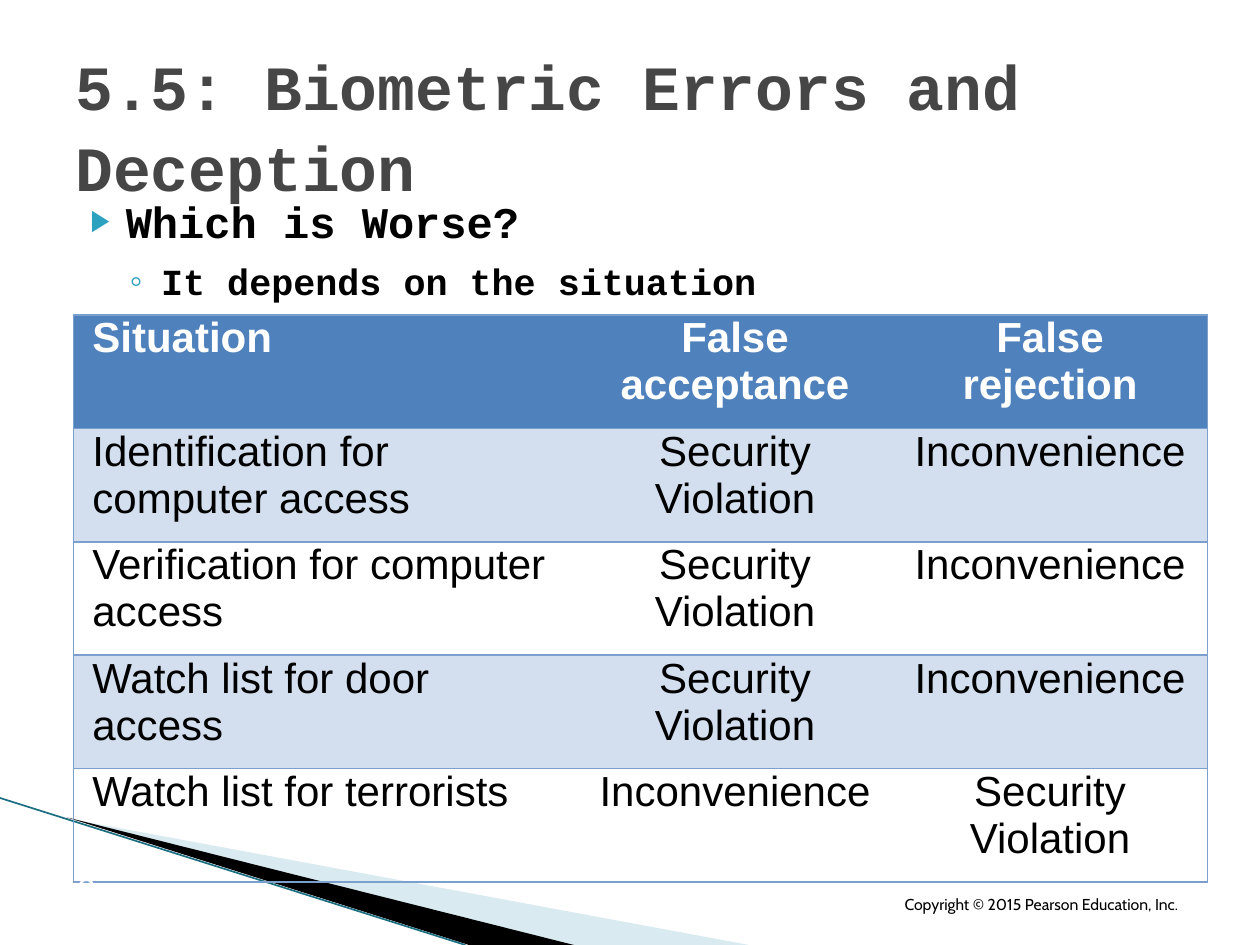
from lxml import etree
from pptx import Presentation, util as u
from pptx.dml.color import RGBColor
from pptx.enum import shapes, text
from pptx.oxml.ns import qn

PT = u.Pt
MONO, SANS = "Courier New", "Arial"
BLACK, WHITE, TEAL = "000000", "FFFFFF", "2DA2BF"
HEAD, BAND, EDGE = "4F81BD", "D3DFEE", "7BA0CD"


def color(code):
    return RGBColor.from_string(code)


def node(parent, tag, **attrs):
    return etree.SubElement(parent, qn(tag), attrs)


def write(para, words, size=24, face=MONO, ink=BLACK, bold=False,
          align=None, lead=None, before=None):
    run = para.add_run()
    run.text = words
    font = run.font
    font.size, font.name, font.bold = PT(size), face, bold
    font.color.rgb = color(ink)
    para.alignment = align
    if lead:
        para.line_spacing = lead
    if before:
        para.space_before = PT(before)


def bullet(para, mark, left, hang, scale=100):
    props = para._p.get_or_add_pPr()
    props.set("marL", str(PT(left)))
    props.set("indent", str(PT(-hang)))
    node(node(props, "a:buClr"), "a:srgbClr", val=TEAL)
    node(props, "a:buSzPct", val=str(scale * 1000))
    node(props, "a:buFont", typeface=SANS)
    node(props, "a:buChar", char=mark)


def paint(shape, code, alpha=100):
    shape.shadow.inherit = False
    shape.line.fill.background()
    shape.fill.solid()
    shape.fill.fore_color.rgb = color(code)
    if alpha < 100:
        tint = shape.fill._xPr.find(".//" + qn("a:srgbClr"))
        node(tint, "a:alpha", val=str(alpha * 1000))


class Page:
    def __init__(self, deck):
        self.slide = deck.slides.add_slide(deck.slide_layouts[6])
        self.items = self.slide.shapes

    def wedge(self, points, code, alpha=100):
        path = self.items.build_freeform(*points[0], scale=PT(1))
        path.add_line_segments(points[1:], close=True)
        paint(path.convert_to_shape(), code, alpha)

    def line(self, start, end, code, width):
        link = self.items.add_connector(
            shapes.MSO_CONNECTOR.STRAIGHT, *map(PT, start + end))
        link.line.color.rgb = color(code)
        link.line.width = PT(width)
        node(link._element.spPr, "a:effectLst")

    def panel(self, area, words, **style):
        box = self.items.add_shape(
            shapes.MSO_SHAPE.RECTANGLE, *map(PT, area))
        paint(box, WHITE, 90)
        frame = box.text_frame
        frame.vertical_anchor = text.MSO_ANCHOR.TOP
        write(frame.paragraphs[0], words, align=text.PP_ALIGN.LEFT, **style)

    def box(self, area, top=3.6, bottom=3.6, anchor=text.MSO_ANCHOR.TOP):
        frame = self.items.add_textbox(*map(PT, area)).text_frame
        frame.word_wrap = True
        frame.margin_top, frame.margin_bottom = PT(top), PT(bottom)
        frame.vertical_anchor = anchor
        return frame

    def table(self, area, widths, rows):
        grid = self.items.add_table(
            len(rows), len(widths), *map(PT, area)).table
        grid.first_row = grid.horz_banding = False
        style = grid._tbl.tblPr.find(qn("a:tableStyleId"))
        style.text = "{2D5ABB26-0587-4C30-8999-92F81FD0307C}"
        for col, width in zip(grid.columns, widths):
            col.width = PT(width)
        for r, row in enumerate(rows):
            for c, words in enumerate(row):
                sides = "L" * (c == 0) + "R" * (c == len(row) - 1) + "TB"
                self.cell(grid.cell(r, c), words, sides, r, c)

    def cell(self, cell, words, sides, r, c):
        cell.margin_left = cell.margin_right = PT(10.8)
        cell.margin_top = cell.margin_bottom = 0
        props = cell._tc.get_or_add_tcPr()
        for side in sides:
            edge = node(props, "a:ln" + side, w=str(PT(1)))
            node(node(edge, "a:solidFill"), "a:srgbClr", val=EDGE)
        if r and r % 2 == 0:
            cell.fill.background()
        else:
            cell.fill.solid()
            cell.fill.fore_color.rgb = color(BAND if r else HEAD)
        write(cell.text_frame.paragraphs[0], words, face=SANS,
              ink=BLACK if r else WHITE, bold=r == 0,
              align=text.PP_ALIGN.CENTER if c else text.PP_ALIGN.LEFT)


def main():
    deck = Presentation()
    deck.slide_width, deck.slide_height = PT(720), PT(540)
    page = Page(deck)

    page.wedge([(39.6, 468.4), (428.4, 540), (328.3, 540)], "A0CBDC", 40)
    page.wedge([(38.2, 467.3), (328, 540), (268, 540)], BLACK)
    page.line((0, 456), (266, 540), "1B6D80", 0.95)
    page.panel((509.8, 507.6, 192.2, 30.2),
               "Copyright © 2015 Pearson Education, Inc.", size=9, face="Cabin")

    body = page.box((36, 108, 648, 66), top=9)
    first = body.paragraphs[0]
    bullet(first, "▶", 28.8, 20.2, 68)
    write(first, "Which is Worse?", size=25, bold=True, lead=0.8)
    second = body.add_paragraph()
    second.level = 1
    bullet(second, "◦", 49, 18)
    write(second, "It depends on the situation", size=21, bold=True,
          lead=0.8, before=12)

    title = page.box((36, 21.6, 648, 90), top=7.2, bottom=0,
                     anchor=text.MSO_ANCHOR.MIDDLE)
    write(title.paragraphs[0], "5.5: Biometric Errors and Deception",
          size=36, ink="464646", bold=True, lead=1.07)

    risk, bother = "Security Violation", "Inconvenience"
    page.table((42, 180, 648, 324), (288, 180, 180), [
        ("Situation", "False acceptance", "False rejection"),
        ("Identification for computer access", risk, bother),
        ("Verification for computer access", risk, bother),
        ("Watch list for door access", risk, bother),
        ("Watch list for terrorists", bother, risk),
    ])
    number = page.box((0, 492, 72, 30))
    write(number.paragraphs[0], "5-46", size=20, ink=WHITE)

    deck.save("out.pptx")


if __name__ == "__main__":
    main()
